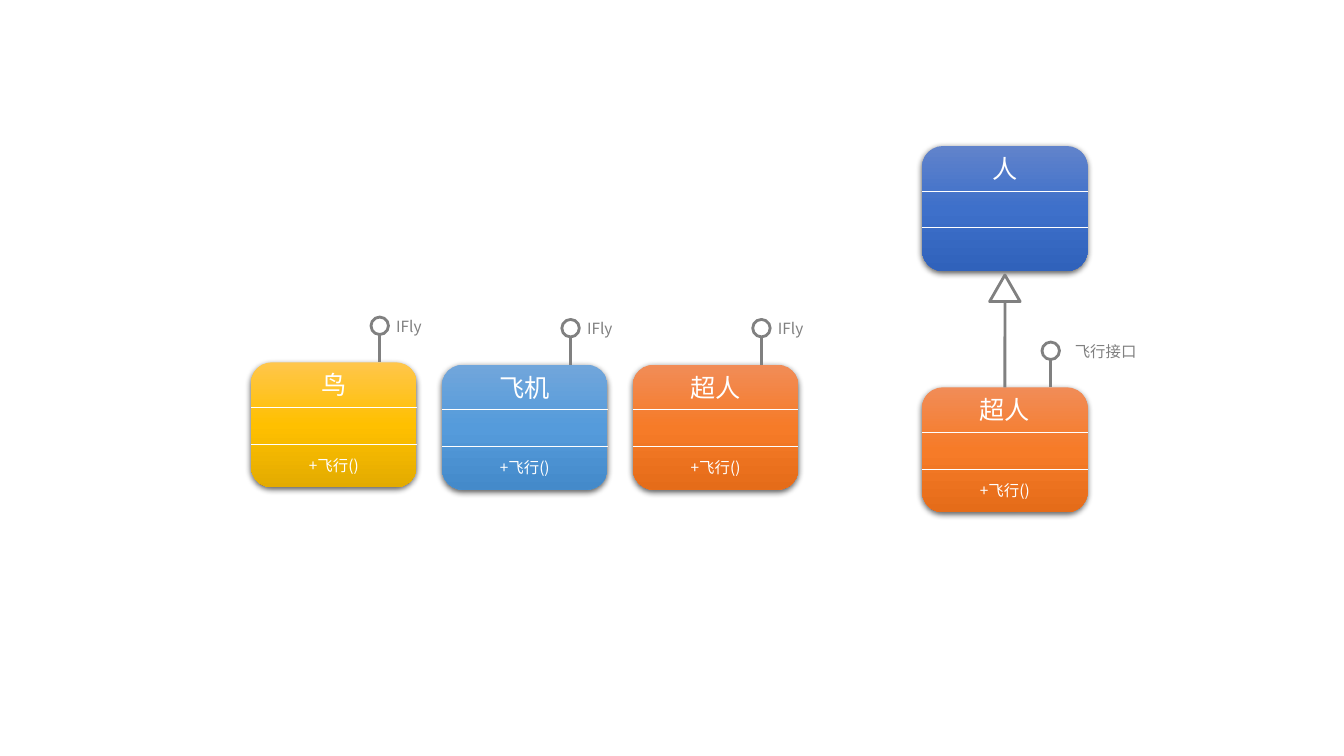
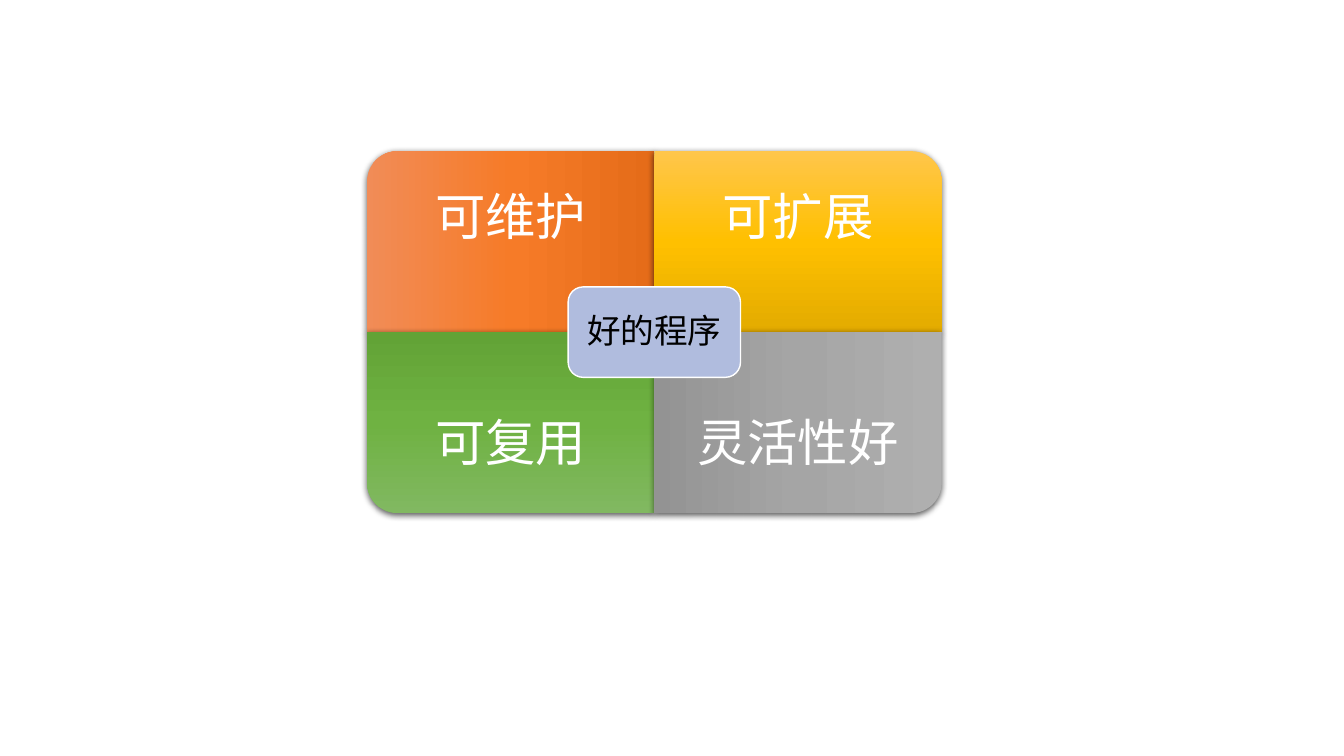
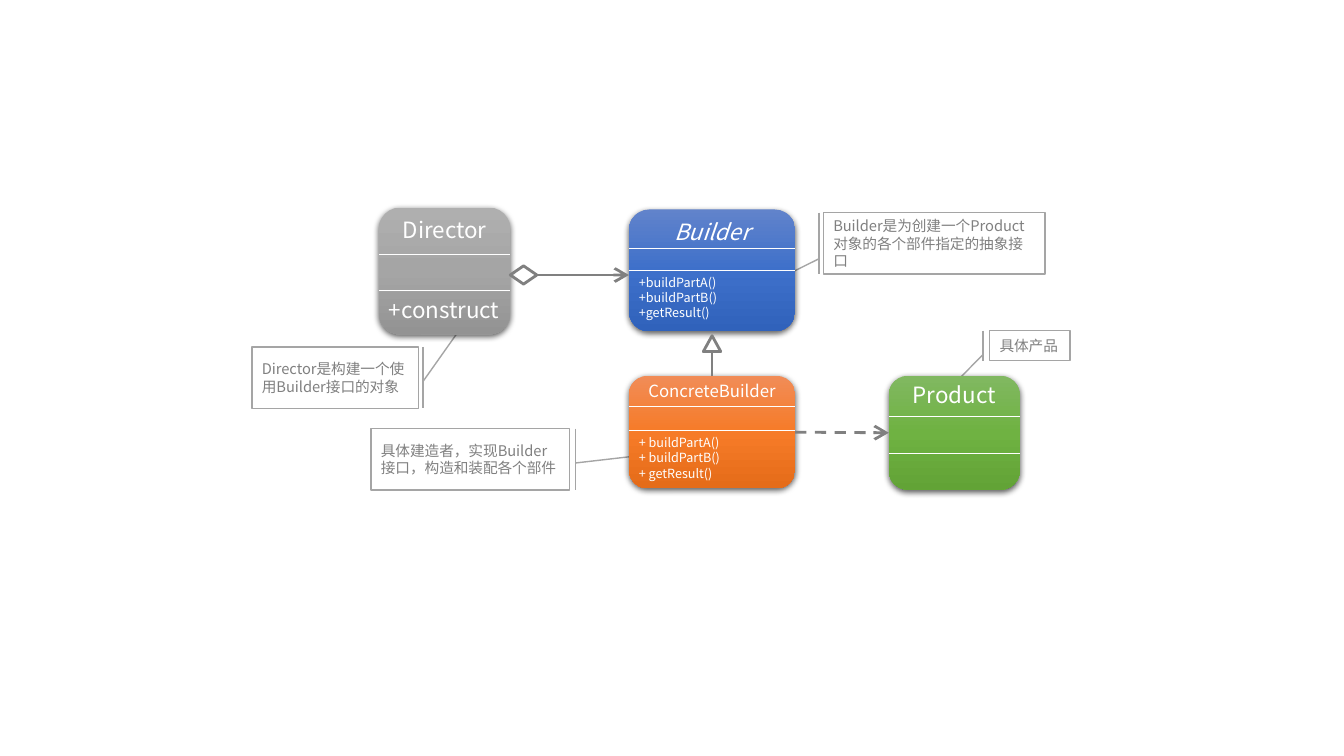
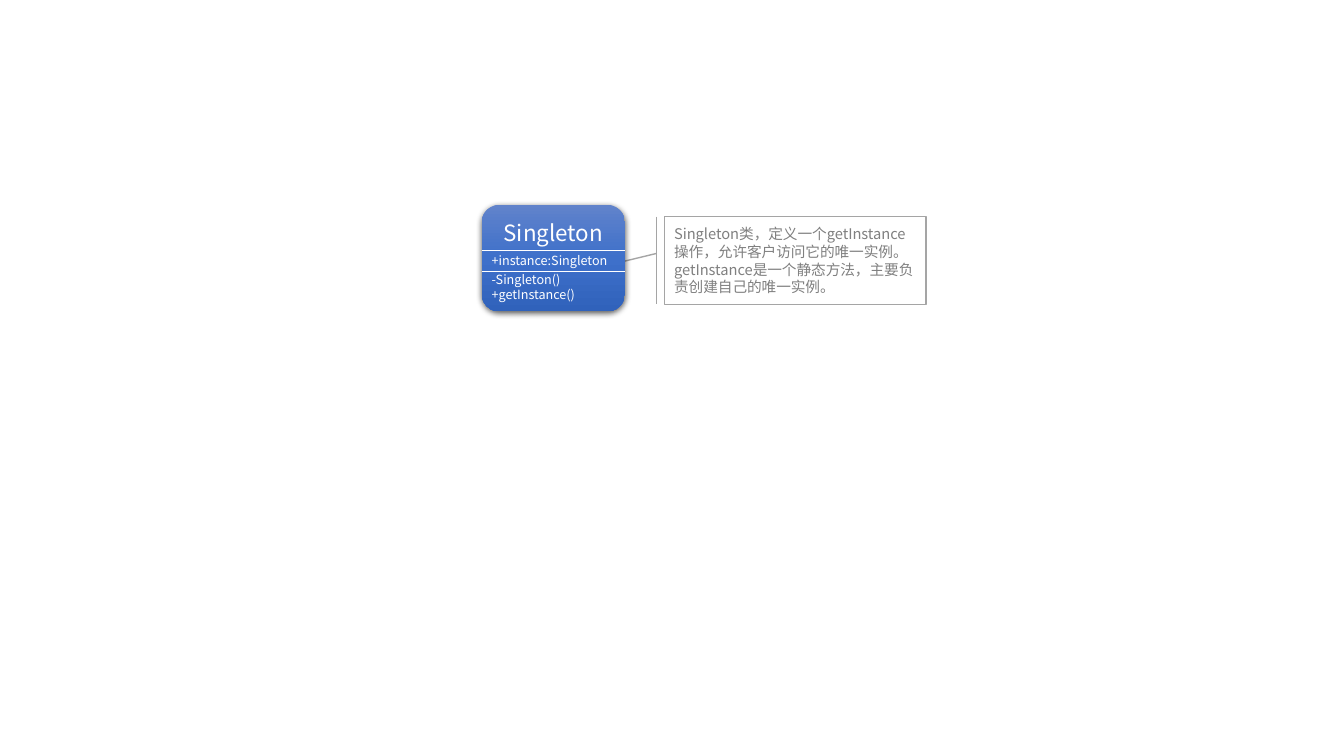
from dataclasses import dataclass
from typing import Optional

from lxml import etree
from pptx import Presentation
from pptx import util as u
from pptx.dml.color import RGBColor
from pptx.enum import dml, shapes, text
from pptx.oxml import parse_xml
from pptx.oxml.ns import nsdecls, qn

Gradient = tuple[str, str, str]
PRESET = shapes.MSO_SHAPE


@dataclass(frozen=True)
class Theme:
    font: str = "Noto Sans CJK SC"
    white: str = "FFFFFF"
    black: str = "000000"
    outline: str = "808080"
    note_border: str = "A5A5A5"
    hub: str = "B0BCDE"
    blue: Gradient = ("6183CB", "3E70CA", "3062BB")
    orange: Gradient = ("F18C57", "F67B28", "E56C19")
    gold: Gradient = ("FFC64B", "FFC000", "E3AB00")
    sky: Gradient = ("71A6DB", "559BDB", "448ACA")
    green: Gradient = ("81B861", "6FB242", "62A336")
    grey: Gradient = ("AFAFAF", "A5A5A5", "939393")
    quality_size: float = 36
    hub_size: float = 24
    class_size: float = 18
    pattern_size: float = 16
    small_class_size: float = 12
    method_size: float = 11
    note_size: float = 10.5
    member_size: float = 9
    outline_width: float = 2
    border_width: float = 1
    divider_width: float = 0.5


THEME = Theme()


@dataclass(frozen=True)
class Box:
    left: float
    top: float
    width: float
    height: float

    @property
    def centre(self) -> float:
        return self.left + self.width / 2

    def lengths(self) -> tuple:
        return tuple(u.Cm(v) for v in (self.left, self.top, self.width, self.height))


@dataclass(frozen=True)
class Members:
    lines: tuple[str, ...]
    top: float
    size: float = THEME.member_size
    centred: bool = False


@dataclass(frozen=True)
class ClassCard:
    box: Box
    title: str
    colours: Gradient
    dividers: tuple[float, float]
    members: tuple[Members, ...] = ()
    title_size: float = THEME.pattern_size
    title_top: float = 0.08
    italic: bool = False


@dataclass(frozen=True)
class Note:
    box: Box
    wording: str
    pointer: tuple[float, float, float, float]


@dataclass(frozen=True)
class Quality:
    wording: str
    colours: Gradient
    column: int
    row: int
    rotation: int


def rgb(colour: str) -> RGBColor:
    return RGBColor.from_string(colour)


def write(frame, lines: tuple[str, ...], size: float, colour: str,
          centred: bool = False, italic: bool = False) -> None:
    frame.word_wrap = True
    for index, line in enumerate(lines):
        paragraph = frame.paragraphs[0] if index == 0 else frame.add_paragraph()
        paragraph.alignment = text.PP_ALIGN.CENTER if centred else text.PP_ALIGN.LEFT
        run = paragraph.add_run()
        run.text = line
        run.font.size = u.Pt(size)
        run.font.name = THEME.font
        run.font.color.rgb = rgb(colour)
        if italic:
            run.font.italic = True
        latin = run._r.rPr.find(qn("a:latin"))
        east_asian = etree.Element(qn("a:ea"), typeface=THEME.font)
        latin.addnext(east_asian)


def add_label(slide, box: Box, lines: tuple[str, ...], size: float,
              colour: str = THEME.white, centred: bool = False, italic: bool = False):
    label = slide.shapes.add_textbox(*box.lengths())
    write(label.text_frame, lines, size, colour, centred, italic)
    return label


def add_panel(slide, preset, box: Box, fill: Optional[str], border: Optional[str],
              width: float = THEME.border_width):
    panel = slide.shapes.add_shape(preset, *box.lengths())
    panel.shadow.inherit = False
    if fill:
        panel.fill.solid()
        panel.fill.fore_color.rgb = rgb(fill)
    else:
        panel.fill.background()
    if border:
        panel.line.color.rgb = rgb(border)
        panel.line.width = u.Pt(width)
    else:
        panel.line.fill.background()
    return panel


def add_glossy_panel(slide, preset, box: Box, colours: Gradient):
    panel = add_panel(slide, preset, box, None, None)
    properties = panel._element.spPr
    stops = "".join(
        f'<a:gs pos="{index * 50000}"><a:srgbClr val="{colour}"/></a:gs>'
        for index, colour in enumerate(colours))
    gradient = parse_xml(
        f'<a:gradFill {nsdecls("a")} rotWithShape="1"><a:gsLst>{stops}</a:gsLst>'
        '<a:lin ang="5400000" scaled="0"/></a:gradFill>')
    properties.replace(properties.find(qn("a:noFill")), gradient)
    properties.find(qn("a:effectLst")).append(parse_xml(
        f'<a:outerShdw {nsdecls("a")} blurRad="57150" dist="19050" dir="5400000" '
        f'algn="ctr" rotWithShape="0"><a:srgbClr val="{THEME.black}">'
        '<a:alpha val="63000"/></a:srgbClr></a:outerShdw>'))
    return panel


def add_line(slide, start: tuple[float, float], end: tuple[float, float],
             colour: str = THEME.outline, width: float = THEME.outline_width,
             arrow: bool = False, dashed: bool = False):
    line = slide.shapes.add_connector(
        shapes.MSO_CONNECTOR.STRAIGHT, *(u.Cm(v) for v in (*start, *end)))
    line.line.color.rgb = rgb(colour)
    line.line.width = u.Pt(width)
    if dashed:
        line.line.dash_style = dml.MSO_LINE.DASH
    properties = line._element.spPr
    if arrow:
        etree.SubElement(properties.find(qn("a:ln")), qn("a:tailEnd"),
                         type="arrow", w="lg", len="lg")
    etree.SubElement(properties, qn("a:effectLst"))
    return line


def add_class(slide, card: ClassCard):
    box = card.box
    body = add_glossy_panel(slide, PRESET.ROUNDED_RECTANGLE, box, card.colours)
    for offset in card.dividers:
        y = box.top + offset
        add_line(slide, (box.left, y), (box.left + box.width, y),
                 THEME.white, THEME.divider_width)
    add_label(slide, Box(box.left, box.top + card.title_top, box.width, 1),
              (card.title,), card.title_size, centred=True, italic=card.italic)
    for members in card.members:
        height = 0.25 + len(members.lines) * members.size * 0.05
        add_label(slide, Box(box.left, box.top + members.top, box.width, height),
                  members.lines, members.size, centred=members.centred)
    return body


def add_interface(slide, card: Box, name: str, label_offset: float) -> None:
    diameter = 0.44
    x = card.left + 3.24
    top = card.top - 1.14
    add_line(slide, (x, top + diameter), (x, card.top))
    add_panel(slide, PRESET.OVAL, Box(x - diameter / 2, top, diameter, diameter),
              None, THEME.outline, THEME.outline_width)
    add_label(slide, Box(x + label_offset, card.top - 1.27, 2.57, 0.74), (name,),
              THEME.method_size, THEME.outline, centred=True)


def add_inheritance(slide, child, child_box: Box, top: float,
                    width: float, height: float) -> None:
    x = child_box.centre
    add_panel(slide, PRESET.ISOSCELES_TRIANGLE, Box(x - width / 2, top, width, height),
              None, THEME.outline, THEME.outline_width)
    stem = add_line(slide, (x, child_box.top), (x, top + height))
    stem.begin_connect(child, 0)


def add_note(slide, note: Note) -> None:
    callout = add_panel(slide, PRESET.LINE_CALLOUT_1_BORDER_AND_ACCENT_BAR, note.box,
                        THEME.white, THEME.note_border)
    for index, value in enumerate(note.pointer):
        callout.adjustments[index] = value
    callout.text_frame.vertical_anchor = text.MSO_ANCHOR.MIDDLE
    write(callout.text_frame, (note.wording,), THEME.note_size, THEME.outline)


def centre_text(frame, wording: str, size: float, colour: str, inset: float) -> None:
    frame.margin_left = frame.margin_right = u.Cm(inset)
    frame.margin_top = frame.margin_bottom = u.Cm(inset)
    frame.vertical_anchor = text.MSO_ANCHOR.MIDDLE
    write(frame, (wording,), size, colour, centred=True)
    frame.paragraphs[0].line_spacing = 0.9
    frame.paragraphs[0].space_after = u.Pt(size * 0.35)


def build_interfaces(slide) -> None:
    def flyer(left: float, top: float, title: str, colours: Gradient,
              flies: bool = True) -> ClassCard:
        fly = Members(("+飞行()",), 2.24, THEME.method_size, centred=True)
        return ClassCard(Box(left, top, 4.17, 3.15), title, colours, (1.13, 2.06),
                         (fly,) if flies else (), THEME.class_size, 0.06)

    row = (("鸟", THEME.gold, 9.13), ("飞机", THEME.sky, 9.19),
           ("超人", THEME.orange, 9.19))
    for index, (title, colours, top) in enumerate(row):
        card = flyer(6.33 + index * 4.81, top, title, colours)
        add_class(slide, card)
        add_interface(slide, card.box, "IFly", -0.55)

    add_class(slide, flyer(23.24, 3.68, "人", THEME.blue, flies=False))
    hero = flyer(23.24, 9.76, "超人", THEME.orange)
    hero_body = add_class(slide, hero)
    add_interface(slide, hero.box, "飞行接口", 0.1)
    add_inheritance(slide, hero_body, hero.box, 6.93, 0.77, 0.67)


def build_qualities(slide) -> None:
    left, top, width, height = 9.25, 3.81, 7.24, 4.56
    qualities = (
        Quality("可维护", THEME.orange, 0, 0, 270),
        Quality("可扩展", THEME.gold, 1, 0, 0),
        Quality("可复用", THEME.green, 0, 1, 180),
        Quality("灵活性好", THEME.grey, 1, 1, 90),
    )
    for quality in qualities:
        x = left + quality.column * width
        y = top + quality.row * height
        sideways = quality.rotation % 180 != 0
        w, h = (height, width) if sideways else (width, height)
        tile = Box(x + (width - w) / 2, y + (height - h) / 2, w, h)
        panel = add_glossy_panel(slide, PRESET.ROUND_1_RECTANGLE, tile, quality.colours)
        panel.rotation = quality.rotation
        caption = slide.shapes.add_textbox(
            *Box(x, y + quality.row * height / 4, width, height * 0.75).lengths())
        centre_text(caption.text_frame, quality.wording, THEME.quality_size,
                    THEME.white, 0.71)

    hub_width, hub_height = width * 0.6, height / 2
    hub = add_panel(slide, PRESET.ROUNDED_RECTANGLE,
                    Box(left + width - hub_width / 2, top + height - hub_height / 2,
                        hub_width, hub_height), THEME.hub, THEME.white)
    centre_text(hub.text_frame, "好的程序", THEME.hub_size, THEME.black, 0.25)


def build_builder(slide) -> None:
    notes = (
        Note(Box(24.94, 8.33, 2.03, 0.76), "具体产品", (0.79, -0.08, 1.66, -0.4)),
        Note(Box(9.35, 10.8, 5, 1.55), "具体建造者，实现Builder接口，构造和装配各个部件",
             (0.56, 1.03, 0.43, 1.38)),
        Note(Box(6.35, 8.74, 4.19, 1.55), "Director是构建一个使用Builder接口的对象",
             (0.56, 1.03, -0.32, 1.26)),
        Note(Box(20.75, 5.36, 5.59, 1.55),
             "Builder是为创建一个Product对象的各个部件指定的抽象接口",
             (0.75, -0.02, 1, -0.16)),
    )
    for note in notes:
        add_note(slide, note)

    director = ClassCard(Box(9.55, 5.23, 3.31, 3.2), "Director", THEME.grey, (1.17, 2.08),
                         (Members(("+construct",), 2.11, THEME.pattern_size),))
    builder = ClassCard(
        Box(15.85, 5.28, 4.19, 3.07), "Builder", THEME.blue, (0.97, 1.52),
        (Members(("+buildPartA()", "+buildPartB()", "+getResult()"), 1.52),), italic=True)
    concrete = ClassCard(
        Box(15.85, 9.47, 4.19, 2.84), "ConcreteBuilder", THEME.orange, (0.76, 1.37),
        (Members(("+ buildPartA()", "+ buildPartB()", "+ getResult()"), 1.37),),
        THEME.small_class_size, 0)
    product = ClassCard(Box(22.4, 9.47, 3.3, 2.87), "Product", THEME.green, (1.02, 1.96),
                        title_top=0)
    add_class(slide, director)
    add_class(slide, builder)
    concrete_body = add_class(slide, concrete)
    product_body = add_class(slide, product)

    add_inheritance(slide, concrete_body, concrete.box, 8.46, 0.44, 0.4)
    axis = 6.93
    diamond = Box(director.box.left + director.box.width, axis - 0.23, 0.67, 0.46)
    add_panel(slide, PRESET.DIAMOND, diamond, None, THEME.outline, THEME.outline_width)
    add_line(slide, (diamond.left + diamond.width, axis), (builder.box.left, axis),
             arrow=True)
    creation = add_line(slide, (20.04, 10.89), (22.4, 10.89), arrow=True, dashed=True)
    creation.begin_connect(concrete_body, 3)
    creation.end_connect(product_body, 1)


def build_singleton(slide) -> None:
    add_note(slide, Note(
        Box(16.74, 5.46, 6.6, 2.21),
        "Singleton类，定义一个getInstance操作，允许客户访问它的唯一实例。"
        "getInstance是一个静态方法，主要负责创建自己的唯一实例。",
        (0.42, -0.03, 0.55, -0.21)))
    add_class(slide, ClassCard(
        Box(12.14, 5.16, 3.61, 2.69), "Singleton", THEME.blue, (1.14, 1.68),
        (Members(("+instance:Singleton",), 1.09),
         Members(("-Singleton()", "+getInstance()"), 1.57)),
        title_top=0.23))


def main() -> None:
    deck = Presentation()
    deck.slide_width, deck.slide_height = u.Cm(33.87), u.Cm(19.05)
    blank = deck.slide_layouts[6]
    for build in (build_interfaces, build_qualities, build_builder, build_singleton):
        build(deck.slides.add_slide(blank))
    deck.save("out.pptx")


if __name__ == "__main__":
    main()
